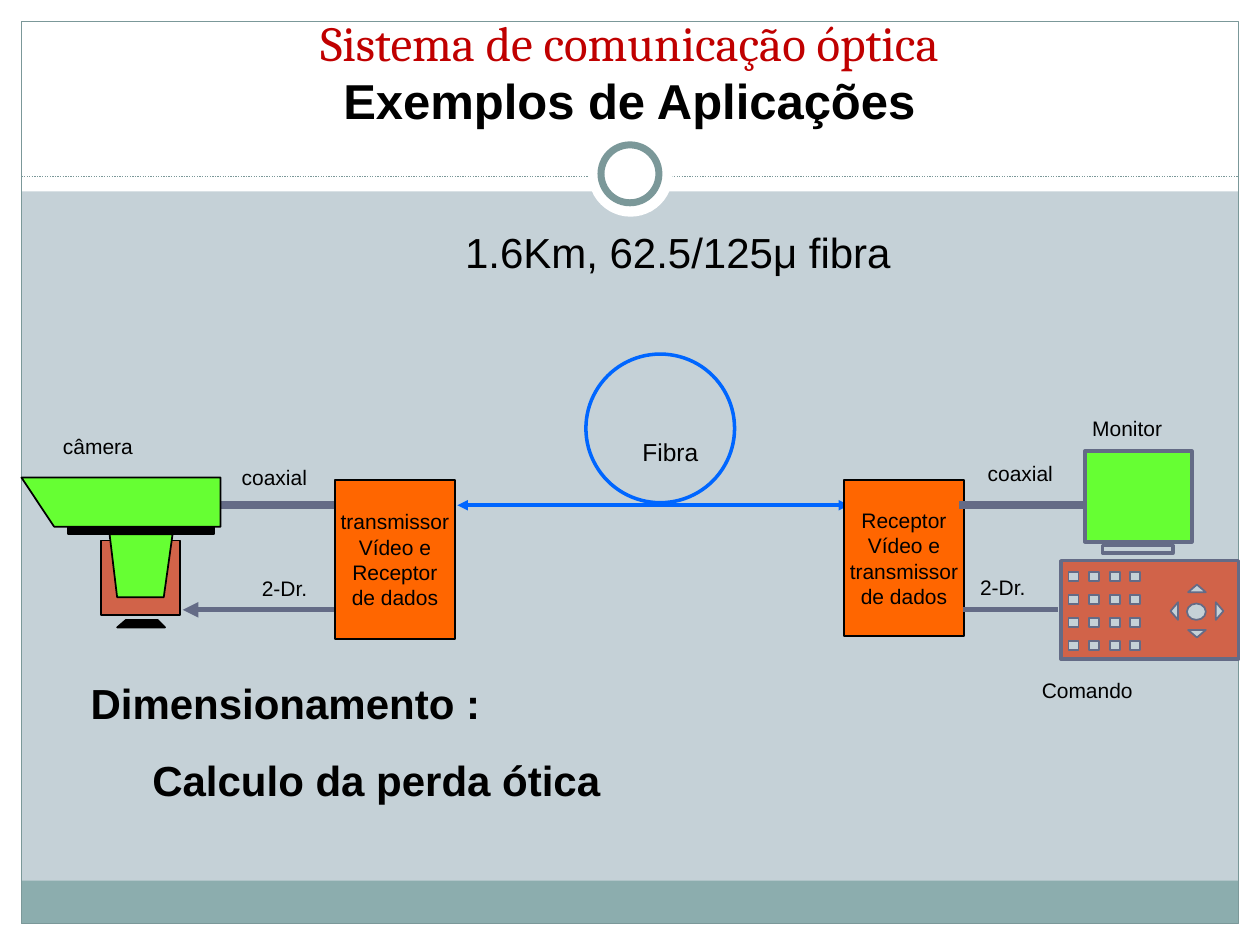
from lxml import etree
from pptx import Presentation
from pptx import util as u
from pptx.dml.color import RGBColor
from pptx.enum import dml, shapes, text
from pptx.oxml.ns import qn

RECT, OVAL = shapes.MSO_SHAPE.RECTANGLE, shapes.MSO_SHAPE.OVAL
WHITE, BLACK, SLATE, TEAL = "FFFFFF", "000000", "646B86", "7B9899"
GREEN, BRICK, ORANGE, BLUE, PALE = "66FF33", "D16349", "FF6600", "0066FF", "C5D1D7"


def rgb(value):
    return RGBColor.from_string(value)


def paint(sp, fill, line, width):
    sp.shadow.inherit = False
    if fill:
        sp.fill.solid()
        sp.fill.fore_color.rgb = rgb(fill)
    else:
        sp.fill.background()
    if line:
        sp.line.color.rgb = rgb(line)
        sp.line.width = u.Pt(width)
    else:
        sp.line.fill.background()
    return sp


def shape(s, kind, x, y, w, h, fill=None, line=None, width=1):
    sp = s.shapes.add_shape(kind, *map(u.Inches, (x, y, w, h)))
    return paint(sp, fill, line, width)


def outline(s, points, fill, line):
    pts = [(u.Inches(x), u.Inches(y)) for x, y in points]
    builder = s.shapes.build_freeform(*pts[0], scale=1.0)
    builder.add_line_segments(pts[1:], close=True)
    return paint(builder.convert_to_shape(), fill, line, 1)


def line(s, x1, y1, x2, y2, color, width, dash=None, ends=()):
    """Draw a line; ends may name headEnd (start) and tailEnd (finish)."""
    c = s.shapes.add_connector(shapes.MSO_CONNECTOR.STRAIGHT,
                               *map(u.Inches, (x1, y1, x2, y2)))
    c.line.color.rgb = rgb(color)
    c.line.width = u.Pt(width)
    if dash:
        c.line.dash_style = dash
    ln = c._element.spPr.find(qn("a:ln"))
    for end in ends:
        etree.SubElement(ln, qn("a:" + end), type="triangle")
    etree.SubElement(c._element.spPr, qn("a:effectLst"))


def write(tf, lines, size, wrap=False, align=text.PP_ALIGN.LEFT,
          anchor=text.MSO_ANCHOR.TOP, margins=(0.1, 0.05), **font):
    side, edge = map(u.Inches, margins)
    frame = dict(word_wrap=wrap, vertical_anchor=anchor, margin_left=side,
                 margin_right=side, margin_top=edge, margin_bottom=edge)
    for name, value in frame.items():
        setattr(tf, name, value)
    look = dict(name="Arial", size=u.Pt(size)) | font
    for i, content in enumerate(lines):
        p = tf.add_paragraph() if i else tf.paragraphs[0]
        p.alignment = align
        r = p.add_run()
        r.text = content
        r.font.color.rgb = rgb(BLACK)
        for name, value in look.items():
            setattr(r.font, name, value)
    return tf.paragraphs


def label(s, lines, x, y, w, h, size=12, **fmt):
    box = s.shapes.add_textbox(*map(u.Inches, (x, y, w, h)))
    return write(box.text_frame, lines, size, **fmt)


def backdrop(s, w, h):
    s.background.fill.solid()
    s.background.fill.fore_color.rgb = rgb(PALE)
    edge = 0.17
    for box in ((0, h - edge, w, edge), (0, 0, w, 1.52),
                (0, 0, edge, h), (w - edge, 0, edge, h)):
        shape(s, RECT, *box, WHITE)
    shape(s, RECT, edge, 6.99, w - 2 * edge, 0.34, "8CADAE")
    shape(s, RECT, edge, edge, w - 2 * edge, h - 2 * edge, None, TEAL, 0.75)
    line(s, edge, 1.4, w - edge, 1.4, TEAL, 0.75, dml.MSO_LINE.ROUND_DOT)
    shape(s, OVAL, w / 2 - 0.33, 1.05, 0.67, 0.67, WHITE)
    shape(s, OVAL, w / 2 - 0.23, 1.15, 0.46, 0.46, WHITE, TEAL, 4)


def title(s, x, y, w, h):
    first, second = label(
        s, ["Sistema de comunicação óptica", "Exemplos de Aplicações"], x, y, w, h, 28,
        wrap=True, align=text.PP_ALIGN.CENTER, anchor=text.MSO_ANCHOR.BOTTOM)
    first.runs[0].font.name = "Cambria"
    first.runs[0].font.color.rgb = rgb("C00000")
    second.runs[0].font.bold = True


def sizing_notes(s, x, y, w, h):
    _, detail = label(s, ["Dimensionamento :", "Calculo da perda ótica"],
                      x, y, w, h, 24, wrap=True, bold=True)
    detail.space_before = u.Pt(15)
    detail._p.get_or_add_pPr().set("marL", str(u.Inches(0.49)))


def camera(s, x, y):
    line(s, x + 1.28, y + 1.4, x + 2.53, y + 1.4, SLATE, 3, ends=["headEnd"])
    line(s, x + 1.57, y + 0.57, x + 2.56, y + 0.57, SLATE, 4.5)
    shape(s, RECT, x + 0.37, y + 0.71, 1.16, 0.09, BLACK, BLACK)

    def part(points, fill):
        outline(s, [(x + dx, y + dy) for dx, dy in points], fill, BLACK)

    part([(0, 0.35), (1.58, 0.35), (1.58, 0.74), (0.26, 0.74)], GREEN)
    shape(s, RECT, x + 0.63, y + 0.85, 0.63, 0.59, BRICK, BLACK)
    part([(0.7, 0.8), (1.2, 0.8), (1.13, 1.3), (0.76, 1.3)], GREEN)
    part([(0.83, 1.48), (1.08, 1.48), (1.14, 1.54), (0.76, 1.54)], BLACK)
    label(s, ["câmera"], x + 0.33, y, 0.56, 0.2, margins=(0, 0))
    label(s, ["coaxial"], x + 1.65, y + 0.2, 0.72, 0.3)
    label(s, ["2-Dr."], x + 1.81, y + 1.08, 0.57, 0.3)


def fibre_link(s, x, y):
    label(s, ["1.6Km, 62.5/125μ fibra"], x - 0.21, y, 3.92, 0.5, 24,
          wrap=True, align=text.PP_ALIGN.CENTER)
    shape(s, OVAL, x + 1.02, y + 1.06, 1.18, 1.18, None, BLUE, 2)
    label(s, ["Fibra"], x + 1.37, y + 1.67, 0.75, 0.33, 14)
    line(s, x, y + 2.26, x + 3.11, y + 2.26, BLUE, 2, ends=["headEnd", "tailEnd"])


def transceiver(s, lines, x, y, w, h):
    sp = shape(s, RECT, x, y, w, h, ORANGE, BLACK)
    write(sp.text_frame, lines, 12, align=text.PP_ALIGN.CENTER,
          anchor=text.MSO_ANCHOR.MIDDLE)


def monitor(s, x, y):
    line(s, x - 1, y + 0.43, x, y + 0.43, SLATE, 4.5)
    label(s, ["coaxial"], x - 0.87, y + 0.03, 0.72, 0.3)
    shape(s, RECT, x, y, 0.85, 0.72, GREEN, SLATE, 2)
    label(s, ["Monitor"], x - 0.04, y - 0.33, 0.76, 0.3)
    shape(s, RECT, x + 0.14, y + 0.75, 0.56, 0.06, None, SLATE, 2)


def control_panel(s, x, y, w, h):
    line(s, x - 0.78, y + 0.39, x - 0.02, y + 0.39, SLATE, 3)
    label(s, ["2-Dr."], x - 0.74, y + 0.06, 0.57, 0.3)
    label(s, ["Comando"], x - 0.25, y + 0.88, 0.93, 0.3)
    shape(s, RECT, x, y, w, h, BRICK, SLATE, 2)
    key_w, key_h, first, last = 0.08, 0.07, 0.06, 0.55
    pitch_x, pitch_y = (last - first) / 3, 0.55 / 3
    for row in range(4):
        for col in range(4):
            shape(s, RECT, x + first + pitch_x * col, y + 0.09 + pitch_y * row,
                  key_w, key_h, PALE, SLATE)
    cx, cy = x + 1.08, y + 0.4
    shape(s, OVAL, cx - 0.08, cy - 0.06, 0.15, 0.13, PALE, SLATE)
    near, far, half = 0.15, 0.21, 0.07
    for sign in (-1, 1):
        arrow = [(-half, sign * near), (half, sign * near), (0, sign * far)]
        outline(s, [(cx + a, cy + b) for a, b in arrow], PALE, SLATE)
        outline(s, [(cx + b, cy + a) for a, b in arrow], PALE, SLATE)


def main():
    prs = Presentation()
    prs.slide_width, prs.slide_height = u.Inches(10), u.Inches(7.5)
    s = prs.slides.add_slide(prs.slide_layouts[6])
    backdrop(s, 10, 7.5)
    sizing_notes(s, 0.62, 5.33, 8.75, 1.72)
    camera(s, 0.17, 3.44)
    fibre_link(s, 3.63, 1.75)
    transceiver(s, ["transmissor", "Vídeo e", "Receptor", "de dados"],
                2.66, 3.81, 0.95, 1.26)
    transceiver(s, ["Receptor", "Vídeo e", "transmissor", "de dados"],
                6.7, 3.81, 0.95, 1.24)
    monitor(s, 8.61, 3.58)
    control_panel(s, 8.42, 4.45, 1.41, 0.78)
    title(s, 0.33, 0.25, 9.33, 0.83)
    prs.save("out.pptx")


if __name__ == "__main__":
    main()
